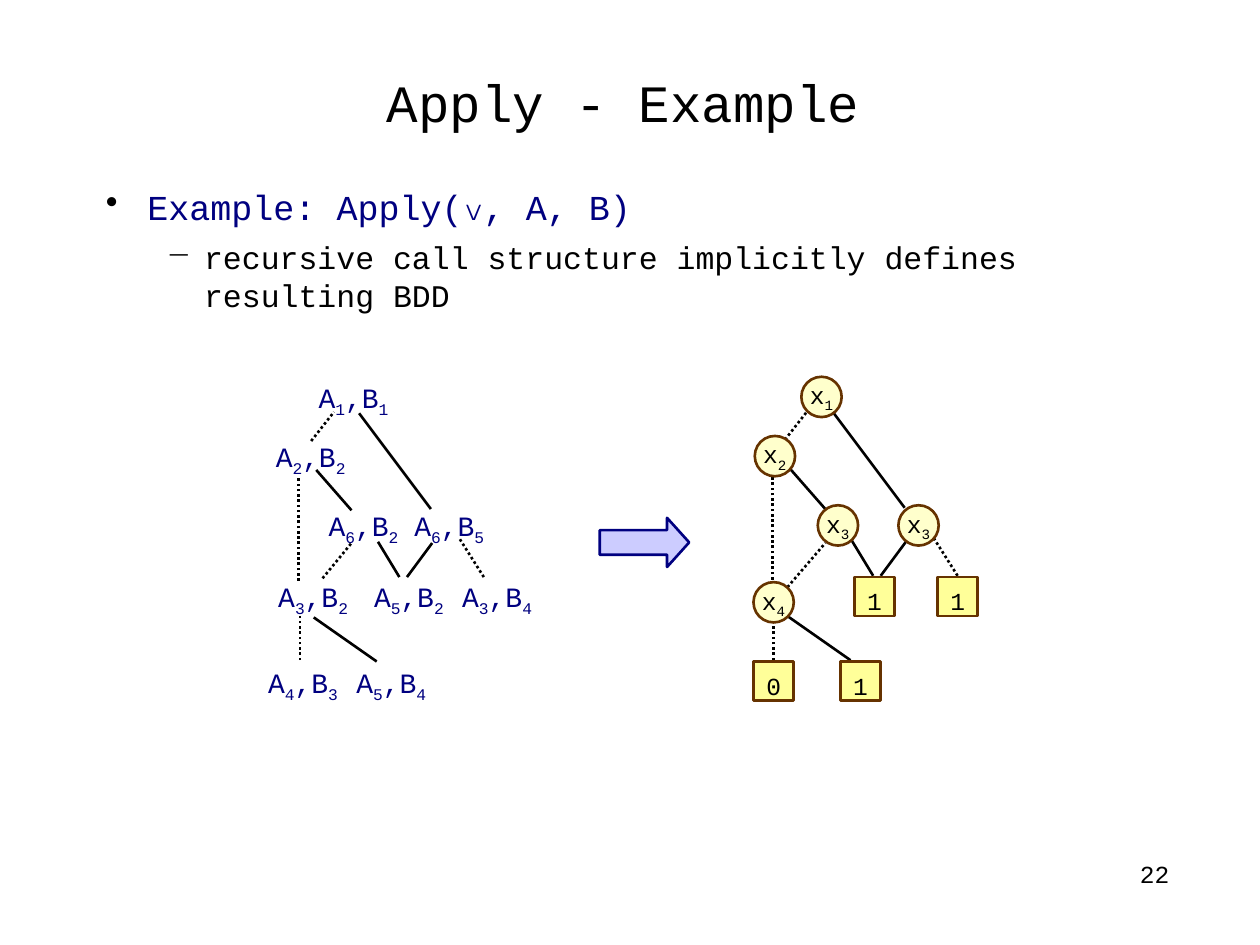
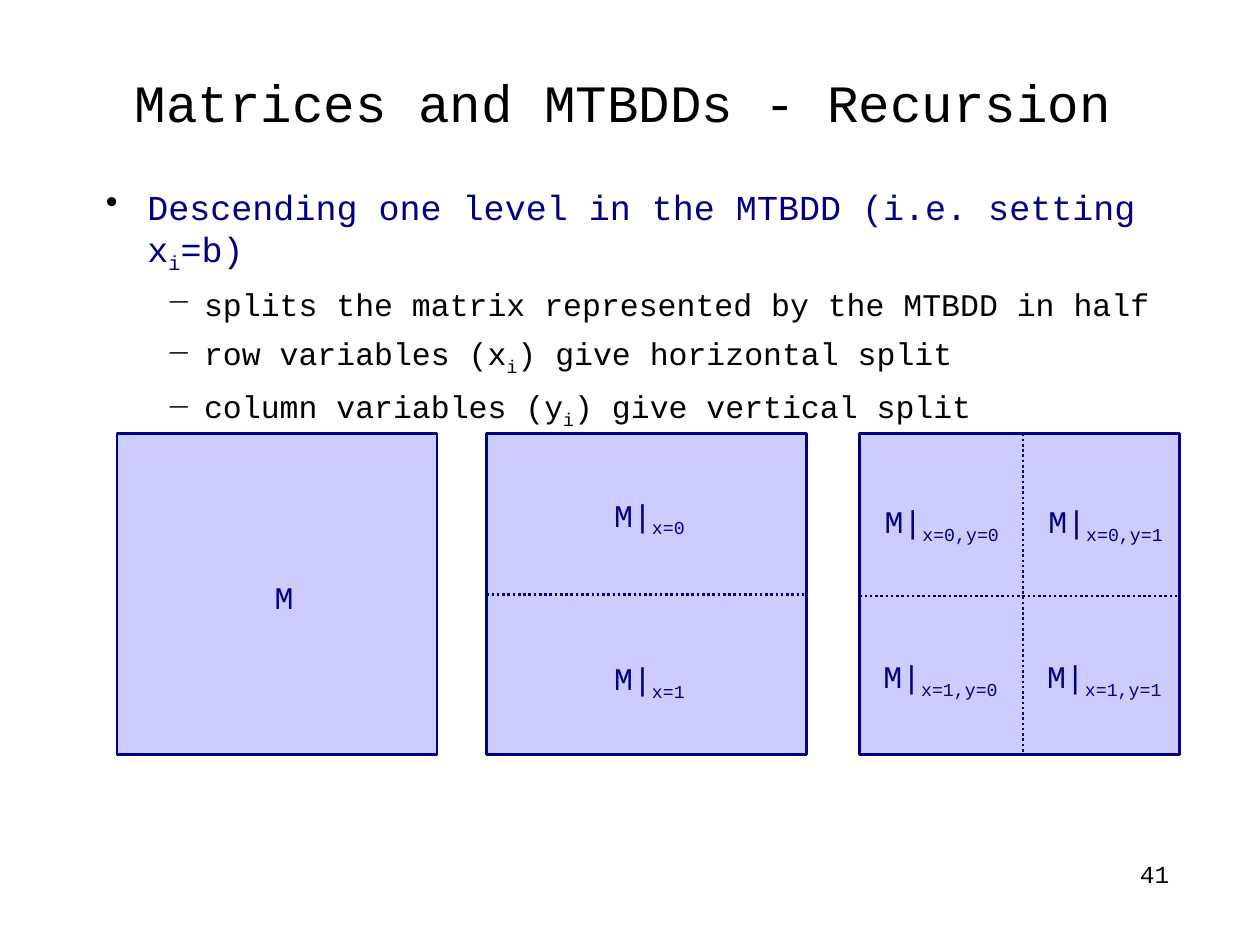
from lxml.etree import SubElement
from pptx import Presentation
from pptx.dml.color import RGBColor
from pptx.enum.dml import MSO_LINE
from pptx.enum.shapes import MSO_CONNECTOR, MSO_SHAPE
from pptx.enum.text import MSO_ANCHOR, PP_ALIGN
from pptx.oxml.ns import qn
from pptx.util import Pt

PX = 9144
FONT = "Courier New"
BLACK = RGBColor(0x00, 0x00, 0x00)
NAVY = RGBColor(0x00, 0x00, 0x80)
LAVENDER = RGBColor(0xCC, 0xCC, 0xFF)
BROWN = RGBColor(0x66, 0x33, 0x00)
CREAM = RGBColor(0xFF, 0xFF, 0xCC)
YELLOW = RGBColor(0xFF, 0xFF, 0x99)


def write(paragraph, text, size=14, color=BLACK, align=PP_ALIGN.CENTER, spacing=None, before=None):
    """Fill a paragraph; every second part between tildes is a subscript."""
    paragraph.alignment = align
    if spacing:
        paragraph.line_spacing = spacing
    if before:
        paragraph.space_before = Pt(before)
    for index, part in enumerate(text.split("~")):
        if not part:
            continue
        run = paragraph.add_run()
        run.text = part
        run.font.name = FONT
        run.font.size = Pt(size)
        run.font.color.rgb = color
        if index % 2:
            run.font._element.set("baseline", "-25000")


def add_bullet(paragraph, symbol, left, hanging):
    """Give a paragraph a black bullet with a hanging indent."""
    properties = paragraph._p.get_or_add_pPr()
    properties.set("marL", str(left * PX))
    properties.set("indent", str(-hanging * PX))
    bullet_color = SubElement(properties, qn("a:buClr"))
    SubElement(bullet_color, qn("a:srgbClr")).set("val", str(BLACK))
    SubElement(properties, qn("a:buChar")).set("char", symbol)


class Deck:
    """Holds the presentation style and the current slide."""

    def __init__(self):
        self.presentation = Presentation()
        self.presentation.slide_width = 1000 * PX
        self.presentation.slide_height = 750 * PX
        self.slide = None

    def start_slide(self, title, number):
        """Open a blank slide with its title and page number."""
        self.slide = self.presentation.slides.add_slide(self.presentation.slide_layouts[6])
        self.text((68, 37, 853, 86), title, inset=(0, 0), anchor=MSO_ANCHOR.MIDDLE,
                  size=30, spacing=1.04)
        self.text((767, 683, 161, 52), number, inset=(0, 0), align=PP_ALIGN.RIGHT, spacing=0.96)

    def frame(self, box, inset, anchor=MSO_ANCHOR.TOP):
        """Add an empty wrapping text box and return its frame."""
        frame = self.slide.shapes.add_textbox(*(n * PX for n in box)).text_frame
        frame.word_wrap = True
        frame.vertical_anchor = anchor
        frame.margin_left = frame.margin_right = inset[0] * PX
        frame.margin_top = frame.margin_bottom = inset[1] * PX
        return frame

    def text(self, box, text, inset=(10, 5), anchor=MSO_ANCHOR.TOP, **style):
        """Add a text box of one paragraph."""
        write(self.frame(box, inset, anchor).paragraphs[0], text, **style)

    def body(self, heading, points):
        """Add the bulleted heading and the dashed points below it."""
        frame = self.frame((73, 147, 853, 520), (0, 0))
        first = frame.paragraphs[0]
        add_bullet(first, "•", 44, 33)
        write(first, heading, size=20, color=NAVY, align=PP_ALIGN.LEFT)
        for point in points:
            paragraph = frame.add_paragraph()
            add_bullet(paragraph, "−", 89, 30)
            write(paragraph, point, size=18, align=PP_ALIGN.LEFT, before=6)

    def shape(self, kind, box, fill=LAVENDER, outline=NAVY):
        """Add a filled and outlined preset shape."""
        shape = self.slide.shapes.add_shape(kind, *(n * PX for n in box))
        shape.shadow.inherit = False
        shape.fill.solid()
        shape.fill.fore_color.rgb = fill
        shape.line.color.rgb = outline
        shape.line.width = Pt(1.5)
        return shape

    def node(self, kind, box, label, fill, drop=0):
        """Add a diagram node with its label inside."""
        frame = self.shape(kind, box, fill, BROWN).text_frame
        frame.word_wrap = False
        frame.vertical_anchor = MSO_ANCHOR.MIDDLE
        frame.margin_left = frame.margin_right = frame.margin_bottom = 0
        frame.margin_top = drop * PX
        write(frame.paragraphs[0], label)

    def line(self, ends, dotted=False, color=BLACK):
        """Add a straight line, solid or dotted."""
        line = self.slide.shapes.add_connector(MSO_CONNECTOR.STRAIGHT, *(n * PX for n in ends))
        line.line.color.rgb = color
        line.line.width = Pt(1.5)
        if dotted:
            line.line.dash_style = MSO_LINE.ROUND_DOT
        SubElement(line._element.spPr, qn("a:effectLst"))

    def edges(self, solid, dotted, dx=0, dy=0):
        """Add the solid and dotted edges of a tree, moved by an offset."""
        for group, is_dotted in ((solid, False), (dotted, True)):
            for x1, y1, x2, y2 in group:
                self.line((x1 + dx, y1 + dy, x2 + dx, y2 + dy), is_dotted)


SOLID_EDGES = [
    (661, 327, 718, 403), (627, 372, 655, 404), (676, 429, 693, 457),
    (625, 489, 675, 524), (719, 430, 699, 457),
]
DOTTED_EDGES = [(623, 349, 641, 326), (613, 460, 613, 377), (760, 457, 741, 427)]
CALLS = [
    (233, 297, "A~1~,B~1"), (199, 344, "A~2~,B~2"), (241, 399, "A~6~,B~2"),
    (309, 399, "A~6~,B~5"), (347, 455, "A~3~,B~4"), (277, 455, "A~5~,B~2"),
    (201, 455, "A~3~,B~2"), (263, 523, "A~5~,B~4"), (193, 523, "A~4~,B~3"),
]
VARIABLES = [
    (636, 299, "x~1"), (599, 346, "x~2"), (649, 401, "x~3"),
    (713, 401, "x~3"), (598, 462, "x~4"),
]
TERMINALS = [(598, 525, "0"), (667, 525, "1"), (678, 458, "1"), (744, 458, "1")]


def build_apply_example(deck):
    """Show the recursive calls beside the resulting BDD."""
    deck.start_slide("Apply - Example", "22")
    deck.body("Example: Apply(∨, A, B)",
              ["recursive call structure implicitly defines resulting BDD"])

    deck.edges(SOLID_EDGES, DOTTED_EDGES + [(625, 466, 655, 431), (614, 524, 614, 494)])
    for left, top, variable in VARIABLES:
        deck.node(MSO_SHAPE.OVAL, (left, top, 32, 32), variable, CREAM)
    for left, top, value in TERMINALS:
        deck.node(MSO_SHAPE.RECTANGLE, (left, top, 32, 31), value, YELLOW, drop=7)

    deck.edges(SOLID_EDGES, DOTTED_EDGES + [(632, 458, 655, 430), (614, 523, 614, 488)],
               dx=-376, dy=1)
    for left, top, call in CALLS:
        deck.text((left, top, 95, 41), call, size=16, color=NAVY)

    arrow = deck.shape(MSO_SHAPE.RIGHT_ARROW, (476, 411, 71, 39))
    arrow.adjustments[1] = 0.45


def build_matrix_recursion(deck):
    """Show a matrix whole, halved and quartered."""
    deck.start_slide("Matrices and MTBDDs - Recursion", "41")
    deck.body("Descending one level in the MTBDD (i.e. setting x~i~=b)", [
        "splits the matrix represented by the MTBDD in half",
        "row variables (x~i~) give horizontal split",
        "column variables (y~i~) give vertical split",
    ])
    whole, halved, quartered = 93, 386, 682
    top, width, height = 344, 254, 255
    for left in (whole, halved, quartered):
        deck.shape(MSO_SHAPE.RECTANGLE, (left, top, width, height))
    for left, middle in ((halved, 472), (quartered, 473)):
        deck.line((left, middle, left + width, middle), True, NAVY)
    deck.line((812, top, 812, top + height), True, NAVY)

    label = {"size": 18, "color": NAVY, "spacing": 0.82}
    deck.text((139, 459, 173, 35), "M", **label)
    for x in (0, 1):
        deck.text((429, 391 + 130 * x, 173, 38), f"M|~x={x}", **label)
        for y in (0, 1):
            deck.text((661 - x + 130 * y, 396 + 123 * x, 173, 38), f"M|~x={x},y={y}", **label)


def main():
    """Build both slides and save them."""
    deck = Deck()
    build_apply_example(deck)
    build_matrix_recursion(deck)
    deck.presentation.save("out.pptx")


if __name__ == "__main__":
    main()
